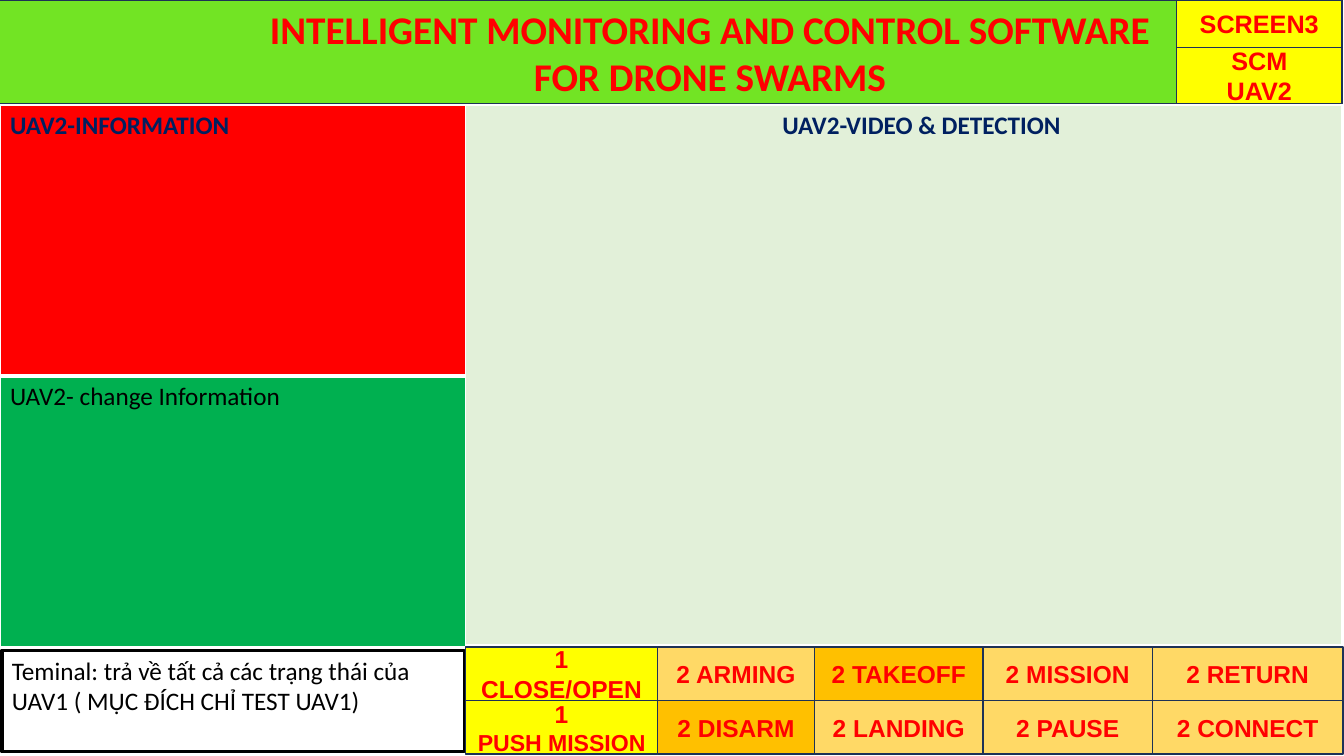
import dataclasses
import itertools
import pptx
import pptx.dml.color
import pptx.enum.shapes
import pptx.enum.text
import pptx.oxml
import pptx.oxml.ns
import pptx.util

ALIGN = pptx.enum.text.PP_ALIGN
ANCHOR = pptx.enum.text.MSO_ANCHOR


@dataclasses.dataclass(frozen=True)
class Theme:
    """Colours, fonts and type sizes of the slide."""
    lime: str = "72E424"
    yellow: str = "FFFF00"
    amber: str = "FFC000"
    sand: str = "FFD966"
    red: str = "FF0000"
    green: str = "00B050"
    mint: str = "E2F0D9"
    navy: str = "002060"
    edge: str = "1E3256"
    white: str = "FFFFFF"
    black: str = "000000"
    body_font: str = "Calibri"
    button_font: str = "Arial"
    title_size: float = 28
    body_size: float = 18
    button_size: float = 17.5
    long_label_size: float = 16.5


THEME = Theme()


@dataclasses.dataclass(frozen=True)
class Box:
    """A rectangle in inches that can be divided by weights."""
    left: float
    top: float
    width: float
    height: float

    def columns(self, *weights):
        """Divide the box from left to right."""
        starts = itertools.accumulate(weights, initial=0)
        unit = self.width / sum(weights)
        return [Box(self.left + start * unit, self.top, weight * unit, self.height)
                for start, weight in zip(starts, weights)]

    def rows(self, *weights):
        """Divide the box from top to bottom."""
        starts = itertools.accumulate(weights, initial=0)
        unit = self.height / sum(weights)
        return [Box(self.left, self.top + start * unit, self.width, weight * unit)
                for start, weight in zip(starts, weights)]

    def inches(self):
        """Give left, top, width and height as lengths."""
        return [pptx.util.Inches(value) for value in dataclasses.astuple(self)]


def rgb(value):
    """Turn a hex string into a colour."""
    return pptx.dml.color.RGBColor.from_string(value)


def write(frame, text, color, size, font, bold=True, align=ALIGN.CENTER):
    """Fill a text frame and format all its runs."""
    frame.text = text
    for para in frame.paragraphs:
        para.alignment = align
        for span in para.runs:
            span.font.name = font
            span.font.size = pptx.util.Pt(size)
            span.font.bold = bold
            span.font.color.rgb = rgb(color)


def panel(page, box, fill, line=THEME.edge, weight=1):
    """Add a plain outlined rectangle."""
    shape = page.shapes.add_shape(
        pptx.enum.shapes.MSO_SHAPE.RECTANGLE, *box.inches())
    shape.shadow.inherit = False
    shape.fill.solid()
    shape.fill.fore_color.rgb = rgb(fill)
    shape.line.color.rgb = rgb(line)
    shape.line.width = pptx.util.Pt(weight)
    return shape


def button(page, box, label, fill, size=THEME.button_size):
    """Add a rectangle with a centred bold label."""
    frame = panel(page, box, fill).text_frame
    frame.word_wrap = True
    frame.vertical_anchor = ANCHOR.MIDDLE
    write(frame, label, THEME.red, size, THEME.button_font)
    return frame


def line_xml(tag, points):
    """Build a white line element of the given weight."""
    return pptx.oxml.parse_xml(
        f'<a:{tag} {pptx.oxml.ns.nsdecls("a")} w="{int(points * 12700)}"><a:solidFill>'
        f'<a:srgbClr val="{THEME.white}"/></a:solidFill></a:{tag}>')


def header(page, box):
    """Place the title band and the two screen badges."""
    panel(page, box, THEME.lime)
    title_area, badge_area = box.columns(11.69, 1.64)
    title_box = title_area.columns(2.5, 9.12, 0.07)[1]
    frame = page.shapes.add_textbox(*title_box.inches()).text_frame
    frame.word_wrap = False
    write(frame, "INTELLIGENT MONITORING AND CONTROL SOFTWARE\nFOR DRONE SWARMS",
          THEME.red, THEME.title_size, THEME.body_font)
    for para in frame.paragraphs:
        for span in para.runs:
            span.font._element.insert(0, line_xml("ln", 0.75))
    for badge, label in zip(badge_area.rows(0.47, 0.56), ("SCREEN3", "SCM\nUAV2")):
        button(page, badge, label, THEME.yellow, THEME.body_size)


def fill_cell(cell, text, fill, color, bold=True, align=ALIGN.LEFT, bottom=1):
    """Write, colour and border one table cell."""
    cell.fill.solid()
    cell.fill.fore_color.rgb = rgb(fill)
    write(cell.text_frame, text, color, THEME.body_size, THEME.body_font, bold, align)
    properties = cell._tc.get_or_add_tcPr()
    for index, (tag, points) in enumerate(
            (("lnL", 1), ("lnR", 1), ("lnT", 1), ("lnB", bottom))):
        properties.insert(index, line_xml(tag, points))


def monitor(page, box):
    """Place the table of information and video areas."""
    table = page.shapes.add_table(2, 2, *box.inches()).table
    table.first_row = table.horz_banding = False
    for column, part in zip(table.columns, box.columns(4.62, 8.69)):
        column.width = pptx.util.Inches(part.width)
    video = table.cell(0, 1)
    video.merge(table.cell(1, 1))
    fill_cell(table.cell(0, 0), "UAV2-INFORMATION", THEME.red, THEME.navy, bottom=3)
    fill_cell(table.cell(1, 0), "UAV2- change Information", THEME.green,
              THEME.black, bold=False)
    fill_cell(video, "UAV2-VIDEO & DETECTION", THEME.mint, THEME.navy,
              align=ALIGN.CENTER, bottom=3)
    video.margin_left = pptx.util.Inches(0.45)


def terminal(page, box):
    """Place the terminal output panel."""
    frame = panel(page, box, THEME.white, THEME.black, 2.25).text_frame
    frame.word_wrap = True
    frame.vertical_anchor = ANCHOR.TOP
    write(frame, "Teminal: trả về tất cả các trạng thái của UAV1 ( MỤC ĐÍCH CHỈ TEST UAV1)",
          THEME.black, THEME.body_size, THEME.body_font, False, ALIGN.LEFT)


def controls(page, box):
    """Place the two rows of command buttons."""
    commands = (
        (("1\nCLOSE/OPEN", THEME.yellow), ("2 ARMING", THEME.sand),
         ("2 TAKEOFF", THEME.amber), ("2 MISSION", THEME.sand),
         ("2 RETURN", THEME.sand)),
        (("1\nPUSH MISSION", THEME.yellow), ("2 DISARM", THEME.amber),
         ("2 LANDING", THEME.sand), ("2 PAUSE", THEME.sand),
         ("2 CONNECT", THEME.sand)),
    )
    for row, entries in zip(box.rows(1, 1), commands):
        cells = row.columns(1.9, 1.56, 1.67, 1.68, 1.89)
        frames = [button(page, cell, *entry) for cell, entry in zip(cells, entries)]
    push_label = frames[0].paragraphs[1].runs[0]
    push_label.font.size = pptx.util.Pt(THEME.long_label_size)


def main():
    """Build and save the control screen."""
    deck = pptx.Presentation()
    deck.slide_width = pptx.util.Inches(13.33)
    deck.slide_height = pptx.util.Inches(7.5)
    page = deck.slides.add_slide(deck.slide_layouts[6])
    header(page, Box(-0.02, 0, 13.33, 1.03))
    monitor(page, Box(0, 1.05, 13.31, 5.36))
    terminal(page, Box(0.02, 6.45, 4.59, 1.01))
    controls(page, Box(4.62, 6.42, 8.7, 1.06))
    deck.save("out.pptx")


if __name__ == "__main__":
    main()
